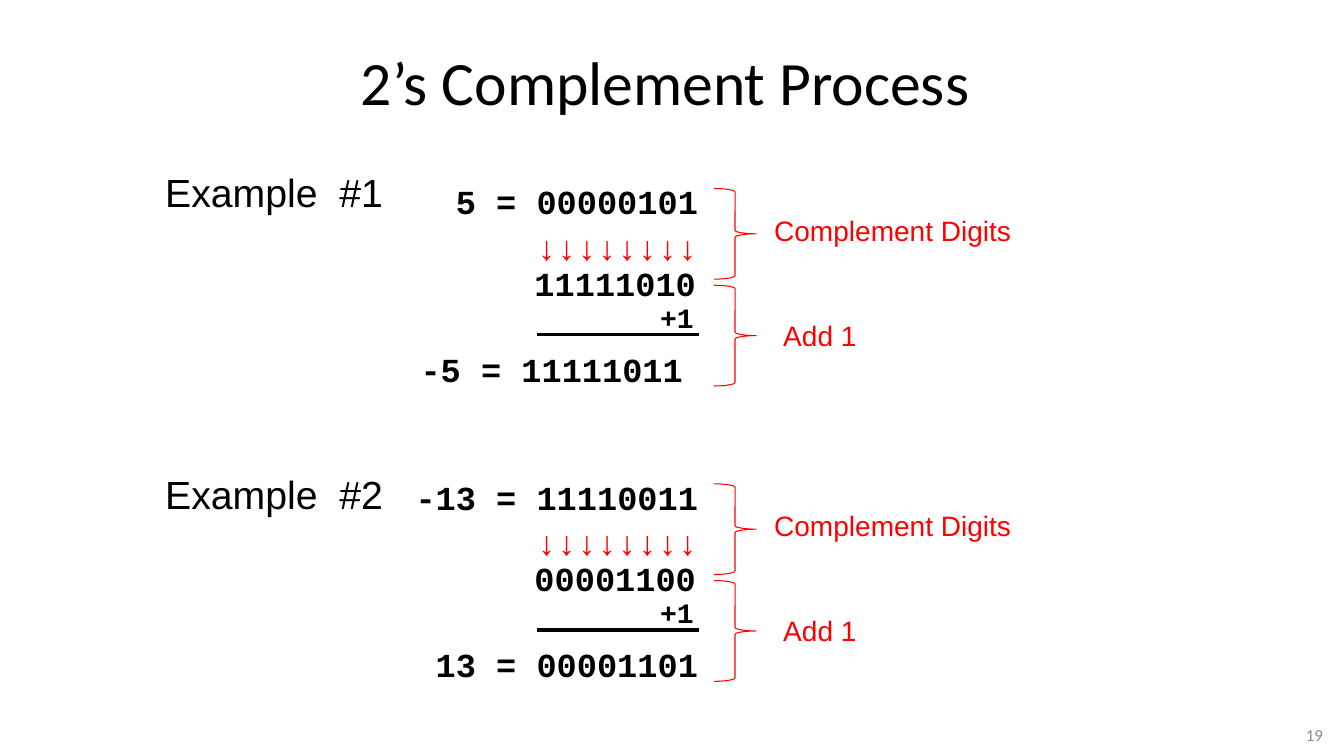
from dataclasses import dataclass

import pptx
import pptx.dml.color
import pptx.enum.shapes
import pptx.enum.text
import pptx.oxml.ns
import pptx.presentation
import pptx.shapes.base
import pptx.slide
import pptx.util
from lxml import etree

PX = 9144
COLORS = {"ink": "000000", "accent": "FF0000", "number": "898989"}
ALIGN = pptx.enum.text.PP_ALIGN
ANCHOR = pptx.enum.text.MSO_ANCHOR
EXAMPLE_STEP = 293


@dataclass(frozen=True)
class Box:
    left: int
    top: int
    width: int
    height: int

    def lower(self, distance: int) -> "Box":
        return Box(self.left, self.top + distance, self.width, self.height)


@dataclass(frozen=True)
class Style:
    font: str
    size: int
    color: str = "ink"
    bold: bool = False
    align: ALIGN = ALIGN.LEFT
    anchor: ANCHOR = ANCHOR.TOP
    wrap: bool = True


@dataclass(frozen=True)
class Example:
    label: str
    label_top: int
    start: str
    inverted: str
    result: str
    result_gap: str = ""


@dataclass(frozen=True)
class Step:
    caption: str
    caption_box: Box
    brace_box: Box


TITLE = Style("Calibri", 44, align=ALIGN.CENTER, anchor=ANCHOR.MIDDLE)
LABEL = Style("Arial", 28)
CAPTION = Style("Arial", 20, "accent")
DIGITS = Style("Courier New", 24, bold=True, align=ALIGN.RIGHT)
ARROWS = Style("Courier New", 24, "accent", bold=True, align=ALIGN.RIGHT)
ADDEND = Style("Courier New", 20, bold=True, align=ALIGN.RIGHT, wrap=False)
GAP = Style("Courier New", 18, bold=True)
NUMBER = Style("Calibri", 12, "number", align=ALIGN.RIGHT, anchor=ANCHOR.MIDDLE)

EXAMPLES = [
    Example("Example  #1", 162, "5 = 00000101", "11111010", "-5 = 11111011", " "),
    Example("Example  #2", 462, "-13 = 11110011", "00001100", "13 = 00001101"),
]
STEPS = [
    Step("Complement Digits", Box(758, 207, 292, 44), Box(708, 187, 42, 90)),
    Step("Add 1", Box(767, 311, 250, 44), Box(708, 283, 42, 100)),
]


def px(length: int) -> pptx.util.Emu:
    return pptx.util.Emu(length * PX)


def rgb(name: str) -> pptx.dml.color.RGBColor:
    return pptx.dml.color.RGBColor.from_string(COLORS[name])


def place(shape: pptx.shapes.base.BaseShape, box: Box) -> None:
    for name in ("left", "top", "width", "height"):
        setattr(shape, name, px(getattr(box, name)))


def add_run(paragraph, text: str, style: Style) -> None:
    run = paragraph.add_run()
    run.text = text
    formats = {"name": style.font, "size": pptx.util.Pt(style.size), "bold": style.bold}
    for name, value in formats.items():
        setattr(run.font, name, value)
    run.font.color.rgb = rgb(style.color)


def write(shape: pptx.shapes.base.BaseShape, text: str, style: Style) -> None:
    formats = {"word_wrap": style.wrap, "vertical_anchor": style.anchor}
    for name, value in formats.items():
        setattr(shape.text_frame, name, value)
    paragraph = shape.text_frame.paragraphs[0]
    paragraph.alignment = style.align
    add_run(paragraph, text, style)


def add_text(slide: pptx.slide.Slide, box: Box, text: str, style: Style) -> pptx.shapes.base.BaseShape:
    shape = slide.shapes.add_textbox(0, 0, 0, 0)
    place(shape, box)
    write(shape, text, style)
    return shape


def add_brace(slide: pptx.slide.Slide, box: Box) -> None:
    kind = pptx.enum.shapes.MSO_SHAPE.RIGHT_BRACE
    shape = slide.shapes.add_shape(kind, 0, 0, 0, 0)
    place(shape, box)
    shape.shadow.inherit = False
    shape.fill.background()
    shape.line.color.rgb = rgb("accent")
    shape.line.width = pptx.util.Pt(0.75)


def add_sum_line(slide: pptx.slide.Slide, left: int, right: int, top: int) -> None:
    kind = pptx.enum.shapes.MSO_CONNECTOR.STRAIGHT
    connector = slide.shapes.add_connector(kind, px(left), px(top), px(right), px(top))
    connector.line.color.rgb = rgb("ink")
    connector.line.width = pptx.util.Pt(2.25)
    properties = connector.element.find(pptx.oxml.ns.qn("p:spPr"))
    etree.SubElement(properties, pptx.oxml.ns.qn("a:effectLst"))


def add_example(slide: pptx.slide.Slide, example: Example, shift: int) -> None:
    add_text(slide, Box(154, example.label_top, 258, 57), example.label, LABEL)
    for step in STEPS:
        add_text(slide, step.caption_box.lower(shift), step.caption, CAPTION)
        add_brace(slide, step.brace_box.lower(shift))
    add_text(slide, Box(325, 175, 377, 50).lower(shift), example.start, DIGITS)
    arrows = "↓" * len(example.inverted)
    add_text(slide, Box(352, 220, 350, 51).lower(shift), arrows, ARROWS)
    add_text(slide, Box(350, 256, 350, 51).lower(shift), example.inverted, DIGITS)
    add_text(slide, Box(644, 293, 54, 44).lower(shift), "+1", ADDEND)
    add_sum_line(slide, 533, 693, 332 + shift)
    result = add_text(slide, Box(352, 341, 350, 50).lower(shift), example.result, DIGITS)
    if example.result_gap:
        add_run(result.text_frame.paragraphs[0], example.result_gap, GAP)


def main() -> None:
    presentation = pptx.Presentation()
    presentation.slide_width = px(1333)
    presentation.slide_height = px(750)
    slide = presentation.slides.add_slide(presentation.slide_layouts[5])
    place(slide.shapes.title, Box(67, 30, 1200, 101))
    write(slide.shapes.title, "2’s Complement Process ", TITLE)
    for index, example in enumerate(EXAMPLES):
        add_example(slide, example, index * EXAMPLE_STEP)
    add_text(slide, Box(1179, 714, 143, 29), "19", NUMBER)
    presentation.save("out.pptx")


if __name__ == "__main__":
    main()
